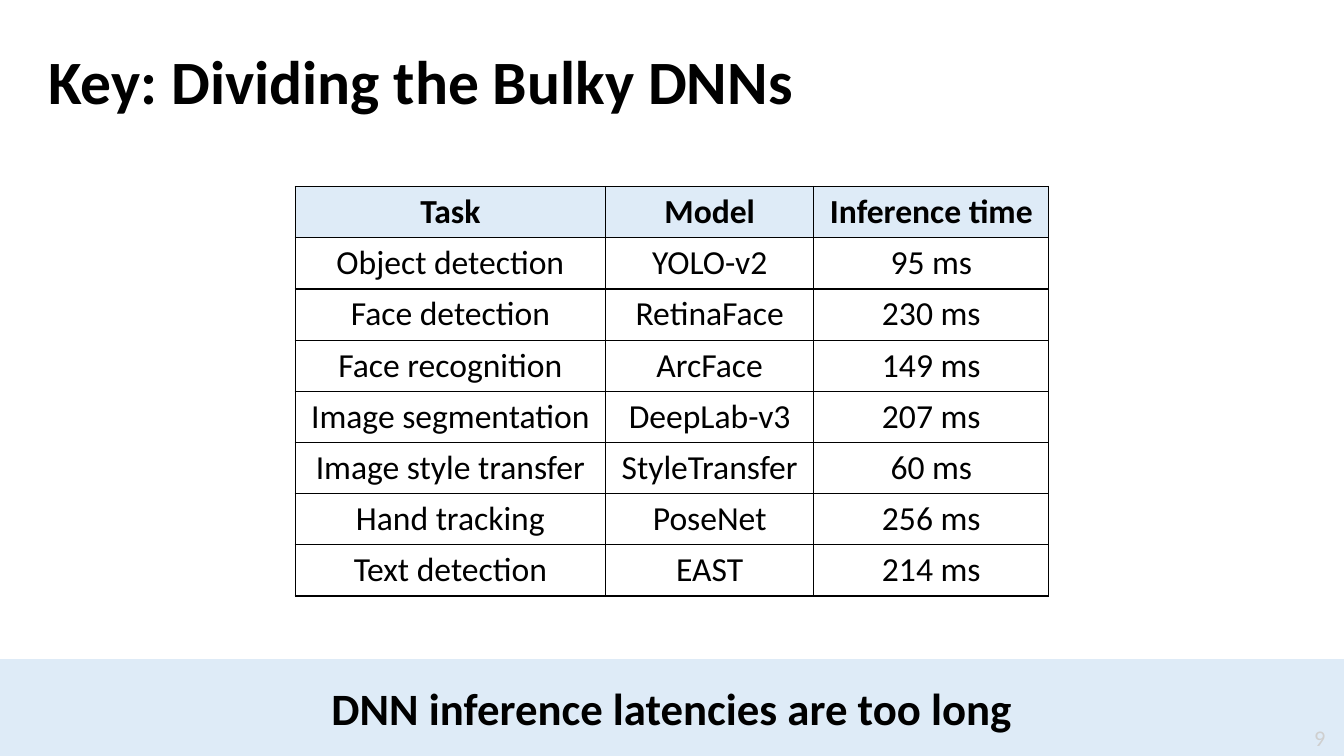
from dataclasses import dataclass

from lxml.etree import SubElement
from pptx import Presentation
from pptx.dml.color import RGBColor
from pptx.enum.shapes import MSO_SHAPE
from pptx.enum.text import MSO_ANCHOR, PP_ALIGN
from pptx.oxml.ns import qn
from pptx.util import Cm, Pt


@dataclass(frozen=True)
class Theme:
    font: str = "Calibri"
    ink: str = "000000"
    tint: str = "DEEBF7"
    muted: str = "CFCFCF"
    title: int = 44
    banner: int = 32
    cell: int = 24
    number: int = 16
    border: int = 1


class SlideBuilder:
    def __init__(self, prs, theme):
        self.theme = theme
        self.s = prs.slides.add_slide(prs.slide_layouts[6])

    def set_text(self, tf, text, size, bold=False, align=PP_ALIGN.LEFT, color=None):
        """Fill a text frame with one styled paragraph."""
        tf.text = text
        p = tf.paragraphs[0]
        p.alignment = align
        font = p.runs[0].font
        font.name, font.size, font.bold = self.theme.font, Pt(size), bold
        font.color.rgb = RGBColor.from_string(color or self.theme.ink)

    def text(self, box, text, size, **style):
        """Add a vertically centred text box."""
        tf = self.s.shapes.add_textbox(*map(Cm, box)).text_frame
        tf.word_wrap = True
        tf.vertical_anchor = MSO_ANCHOR.MIDDLE
        self.set_text(tf, text, size, **style)
        return tf

    def banner(self, box, text):
        """Add a tinted band with a bold centred message."""
        sp = self.s.shapes.add_shape(MSO_SHAPE.RECTANGLE, *map(Cm, box))
        sp.shadow.inherit = False
        sp.fill.solid()
        sp.fill.fore_color.rgb = RGBColor.from_string(self.theme.tint)
        sp.line.fill.background()
        sp.text_frame.vertical_anchor = MSO_ANCHOR.MIDDLE
        self.set_text(sp.text_frame, text, self.theme.banner, True, PP_ALIGN.CENTER)

    def borders(self, cell):
        """Draw a thin line on all four sides of a cell."""
        tc_pr = cell._tc.get_or_add_tcPr()
        for i, side in enumerate(("lnL", "lnR", "lnT", "lnB")):
            ln = tc_pr.makeelement(qn(f"a:{side}"), {"w": str(Pt(self.theme.border))})
            fill = SubElement(ln, qn("a:solidFill"))
            SubElement(fill, qn("a:srgbClr"), val=self.theme.ink)
            tc_pr.insert(i, ln)

    def table(self, left, top, widths, row_height, rows):
        """Add a bordered table whose first row is a tinted header."""
        size = Cm(sum(widths)), Cm(row_height * len(rows))
        table = self.s.shapes.add_table(
            len(rows), len(widths), Cm(left), Cm(top), *size).table
        table.horz_banding = False
        for column, width in zip(table.columns, widths):
            column.width = Cm(width)
        for r, values in enumerate(rows):
            table.rows[r].height = Cm(row_height)
            for c, value in enumerate(values):
                cell = table.cell(r, c)
                cell.margin_left = cell.margin_right = Cm(0.3)
                self.set_text(cell.text_frame, value, self.theme.cell, r == 0, PP_ALIGN.CENTER)
                if r == 0:
                    cell.fill.solid()
                    cell.fill.fore_color.rgb = RGBColor.from_string(self.theme.tint)
                else:
                    cell.fill.background()
                self.borders(cell)


LATENCIES = [
    ("Task", "Model", "Inference time"),
    ("Object detection", "YOLO-v2", "95 ms"),
    ("Face detection", "RetinaFace", "230 ms"),
    ("Face recognition", "ArcFace", "149 ms"),
    ("Image segmentation", "DeepLab-v3", "207 ms"),
    ("Image style transfer", "StyleTransfer", "60 ms"),
    ("Hand tracking", "PoseNet", "256 ms"),
    ("Text detection", "EAST", "214 ms"),
]


def main():
    prs = Presentation()
    prs.slide_width, prs.slide_height = Cm(33.87), Cm(19.05)
    theme = Theme()
    slide = SlideBuilder(prs, theme)
    slide.banner((0, 16.61, 33.87, 2.44), "DNN inference latencies are too long")
    title = slide.text((0.97, 1.02, 32.16, 1.9), "Key: Dividing the Bulky DNNs",
                       theme.title, bold=True)
    title.margin_top = Cm(0.2)
    slide.table(7.44, 4.7, (7.82, 5.25, 5.92), 1.29, LATENCIES)
    slide.text((31.6, 18.1, 2.05, 0.95), "9", theme.number,
               align=PP_ALIGN.RIGHT, color=theme.muted)
    prs.save("out.pptx")


if __name__ == "__main__":
    main()
